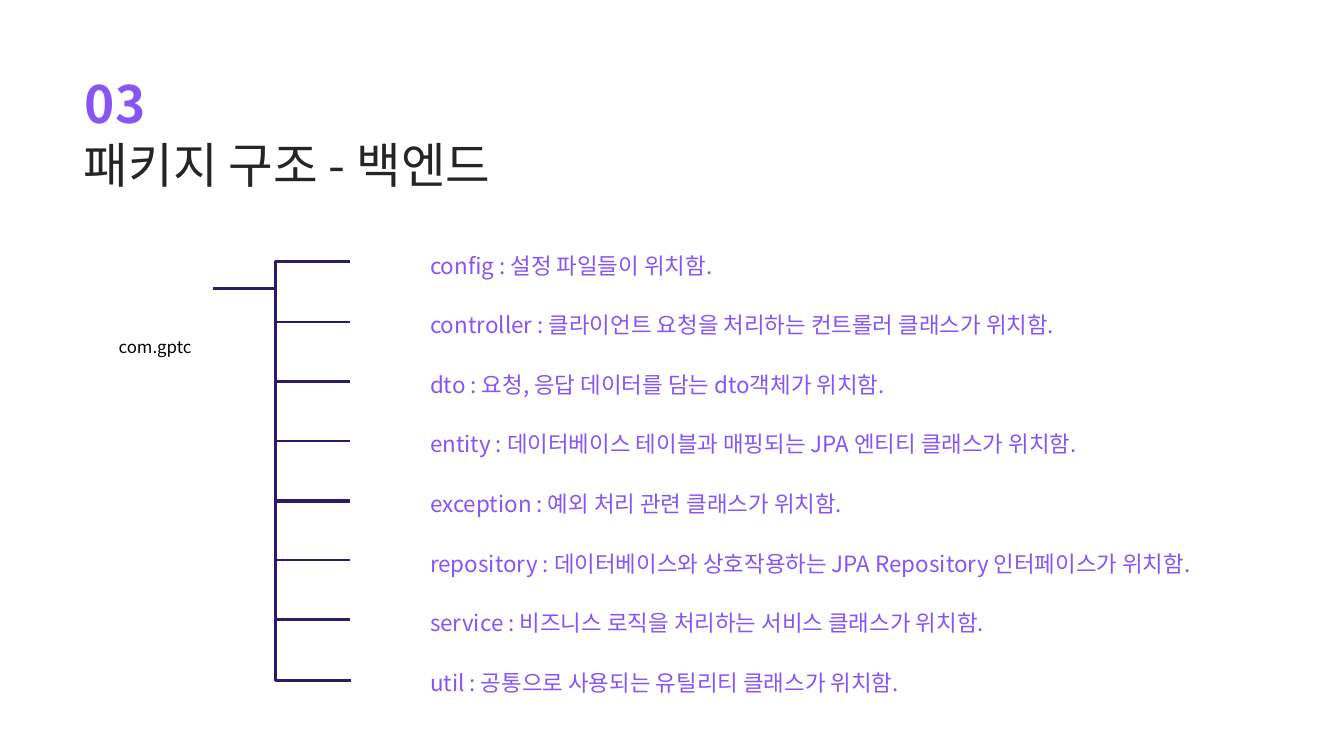
"""Build the back-end package structure slide."""
from typing import NamedTuple

from lxml import etree
from pptx import Presentation
from pptx import util as u
from pptx.dml.color import RGBColor
from pptx.enum import shapes, text
from pptx.oxml.ns import qn

PX = 9525
FONT = "Noto Sans CJK KR"
VIOLET = RGBColor(0x88, 0x54, 0xF7)
INDIGO = RGBColor(0x2E, 0x1A, 0x66)
INK = RGBColor(0x25, 0x25, 0x25)
BLACK = RGBColor(0, 0, 0)

TRUNK_X, BRANCH_X = 392, 500
BRACKET_TOP, BRACKET_BOTTOM = 374, 972
BRANCH_TOP, BRANCH_GAP = 460, 85
LABEL_TOP, LABEL_BOTTOM = 355, 951

PACKAGES = [
    "config : 설정 파일들이 위치함.",
    "controller : 클라이언트 요청을 처리하는 컨트롤러 클래스가 위치함.",
    "dto : 요청, 응답 데이터를 담는 dto객체가 위치함.",
    "entity : 데이터베이스 테이블과 매핑되는 JPA 엔티티 클래스가 위치함.",
    "exception : 예외 처리 관련 클래스가 위치함.",
    "repository : 데이터베이스와 상호작용하는 JPA Repository 인터페이스가 위치함.",
    "service : 비즈니스 로직을 처리하는 서비스 클래스가 위치함.",
    "util : 공통으로 사용되는 유틸리티 클래스가 위치함.",
]


class Label(NamedTuple):
    text: str
    x: int
    y: int
    w: int
    h: int
    size: int
    color: RGBColor
    bold: bool = False
    spacing: int = 0
    leading: int = 0
    centered: bool = False


class Line(NamedTuple):
    x1: int
    y1: int
    x2: int
    y2: int
    width: float = 3
    kind: shapes.MSO_CONNECTOR = shapes.MSO_CONNECTOR.STRAIGHT


def draw_label(s, label: Label):
    sp = s.shapes.add_textbox(*(v * PX for v in label[1:5]))
    tf = sp.text_frame
    tf.word_wrap = True
    tf.auto_size = text.MSO_AUTO_SIZE.SHAPE_TO_FIT_TEXT
    tf.text = label.text
    p = tf.paragraphs[0]
    if label.leading:
        tf.margin_left = tf.margin_top = tf.margin_right = tf.margin_bottom = 0
        p.line_spacing = u.Pt(label.leading)
    if label.centered:
        p.alignment = text.PP_ALIGN.CENTER
    r = p.runs[0]
    r.font.name, r.font.size = FONT, u.Pt(label.size)
    r.font.bold = label.bold
    r.font.color.rgb = label.color
    rpr = r._r.get_or_add_rPr()
    etree.SubElement(rpr, qn("a:ea")).set("typeface", FONT)
    if label.spacing:
        rpr.set("spc", str(label.spacing))
    return sp


def draw_line(s, line: Line):
    ends = (v * PX for v in line[:4])
    sp = s.shapes.add_connector(line.kind, *ends)
    sp.line.color.rgb = INDIGO
    sp.line.width = u.Pt(line.width)
    etree.SubElement(sp._element.spPr, qn("a:effectLst"))
    return sp


def draw_bracket(s):
    line = Line(BRANCH_X, BRACKET_TOP, BRANCH_X + 1, BRACKET_BOTTOM,
                kind=shapes.MSO_CONNECTOR.ELBOW)
    sp = draw_line(s, line)
    guides = sp._element.spPr.find(qn("a:prstGeom")).find(qn("a:avLst"))
    bend = (TRUNK_X - BRANCH_X) * 100000
    etree.SubElement(guides, qn("a:gd"), name="adj1", fmla=f"val {bend}")


def main():
    prs = Presentation()
    prs.slide_width, prs.slide_height = 1920 * PX, 1080 * PX
    s = prs.slides.add_slide(prs.slide_layouts[6])

    draw_label(s, Label("03", 120, 44, 147, 133, 55, VIOLET,
                        bold=True, spacing=130, leading=110))
    draw_label(s, Label("패키지 구조 - 백엔드", 120, 137, 807, 126, 52, INK,
                        leading=104))

    label_gap = (LABEL_BOTTOM - LABEL_TOP) / (len(PACKAGES) - 1)
    for i, package in enumerate(PACKAGES):
        y = round(LABEL_TOP + i * label_gap)
        draw_label(s, Label(package, 605, y, 1134, 48, 24, VIOLET))

    draw_bracket(s)
    draw_line(s, Line(304, 412, TRUNK_X, 412))
    for i in range(len(PACKAGES) - 2):
        y = BRANCH_TOP + i * BRANCH_GAP
        draw_line(s, Line(BRANCH_X, y, TRUNK_X, y))
    draw_line(s, Line(BRANCH_X, 717, TRUNK_X, 717, width=0.75))

    draw_label(s, Label("com.gptc", 153, 476, 137, 38, 18, BLACK,
                        centered=True))
    prs.save("out.pptx")


if __name__ == "__main__":
    main()
